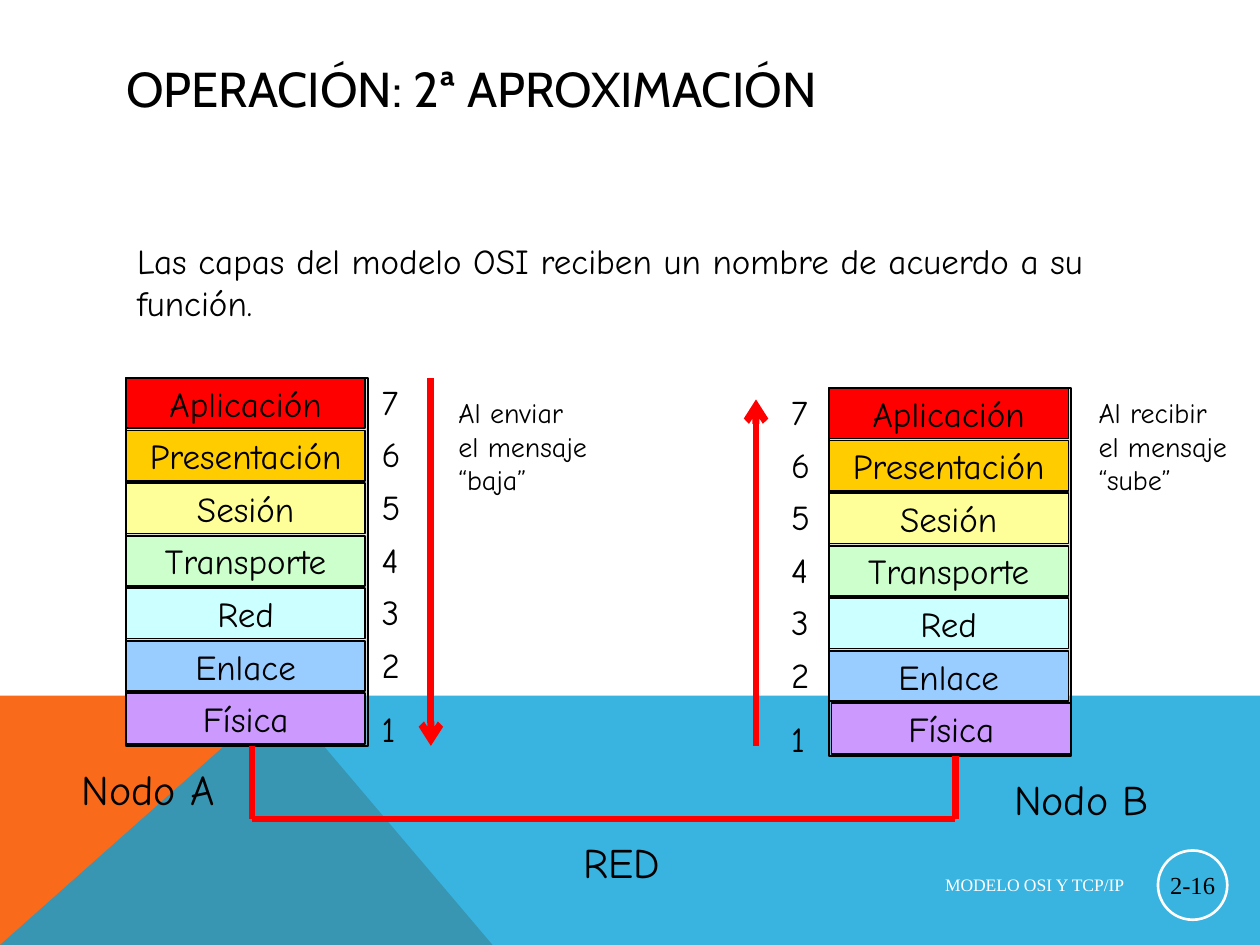
from dataclasses import dataclass

from lxml.etree import SubElement
from pptx import Presentation
from pptx.dml.color import RGBColor
from pptx.enum.shapes import MSO_CONNECTOR as Connector, MSO_SHAPE as Shape
from pptx.enum.text import MSO_ANCHOR as Anchor, MSO_AUTO_SIZE as AutoSize, PP_ALIGN as Align
from pptx.oxml.ns import qn
from pptx.util import Inches, Pt


@dataclass(frozen=True)
class Theme:
    ink: str = "000000"
    paper: str = "FFFFFF"
    orange: str = "F96A1B"
    blue: str = "08A1D9"
    grey: str = "C0C0C0"
    red: str = "FF0000"
    title_font: str = "Cabin"
    hand_font: str = "Comic Neue"
    footer_font: str = "Times New Roman"
    title: int = 28
    node: int = 24
    body: int = 20
    note: int = 16
    number: int = 14
    footer: int = 10
    cable: int = 4


THEME = Theme()
LAYERS = [
    ("Aplicación", "FF0000"),
    ("Presentación", "FFCC00"),
    ("Sesión", "FFFF99"),
    ("Transporte", "CCFFCC"),
    ("Red", "CCFFFF"),
    ("Enlace", "99CCFF"),
    ("Física", "CC99FF"),
]


def write(shape, text, size=THEME.body, font=THEME.hand_font, color=THEME.ink,
          align=Align.LEFT, anchor=Anchor.TOP, wrap=False, inset=(0.1, 0.05)):
    frame = shape.text_frame
    frame.auto_size = AutoSize.NONE
    frame.word_wrap = wrap
    frame.vertical_anchor = anchor
    frame.margin_left = frame.margin_right = Inches(inset[0])
    frame.margin_top = frame.margin_bottom = Inches(inset[1])
    for index, line in enumerate(text.split("\n")):
        para = frame.add_paragraph() if index else frame.paragraphs[0]
        para.alignment = align
        para.space_before = para.space_after = Pt(0)
        span = para.add_run()
        span.text = line
        span.font.size = Pt(size)
        span.font.name = font
        span.font.color.rgb = RGBColor.from_string(color)


def add_text(page, box, text, **style):
    label = page.shapes.add_textbox(*map(Inches, box))
    write(label, text, **style)


def paint(shape, fill=None, line=None, width=1, alpha=None):
    shape.shadow.inherit = False
    if fill:
        shape.fill.solid()
        shape.fill.fore_color.rgb = RGBColor.from_string(fill)
    else:
        shape.fill.background()
    if alpha:
        color = shape.fill._xPr.find(".//" + qn("a:srgbClr"))
        SubElement(color, qn("a:alpha")).set("val", str(alpha * 1000))
    if line:
        shape.line.color.rgb = RGBColor.from_string(line)
        shape.line.width = Pt(width)
    else:
        shape.line.fill.background()


def add_shape(page, kind, box, **look):
    shape = page.shapes.add_shape(kind, *map(Inches, box))
    paint(shape, **look)
    return shape


def add_line(page, start, end, arrow=False):
    line = page.shapes.add_connector(Connector.STRAIGHT, *map(Inches, start + end))
    line.line.color.rgb = RGBColor.from_string(THEME.red)
    line.line.width = Pt(THEME.cable)
    if arrow:
        SubElement(line.line._get_or_add_ln(), qn("a:tailEnd")).set("type", "arrow")
    SubElement(line._element.spPr, qn("a:effectLst"))


def add_backdrop(page, box):
    left, top, width, height = box
    right, bottom, peak = left + width, top + height, left + 2.23
    bands = [
        ([(left, bottom), (left, top), (peak, top), (left + 3.91, bottom)], THEME.orange, None),
        ([(left, bottom), (peak, top), (right, top), (right, bottom)], THEME.blue, 80),
    ]
    for points, color, alpha in bands:
        corners = [(Inches(x), Inches(y)) for x, y in points]
        builder = page.shapes.build_freeform(*corners[0])
        builder.add_line_segments(corners[1:])
        paint(builder.convert_to_shape(), fill=color, alpha=alpha)


def add_title(page, box, text):
    title = page.shapes.title
    title.left, title.top, title.width, title.height = map(Inches, box)
    write(title, text, size=THEME.title, font=THEME.title_font, anchor=Anchor.MIDDLE,
          wrap=True, inset=(0.1, 0))


def add_footer(page, box, text, number):
    left, top, width, height = box
    add_text(page, (left, top + 0.12, 5.17, 0.3), text, size=THEME.footer,
             font=THEME.footer_font, color=THEME.paper, align=Align.RIGHT,
             anchor=Anchor.MIDDLE, wrap=True)
    badge = add_shape(page, Shape.OVAL, (left + width - height, top, height, height),
                      line=THEME.paper, width=1.5)
    write(badge, number, size=THEME.number, font=THEME.footer_font, align=Align.CENTER,
          anchor=Anchor.MIDDLE, inset=(0.01, 0.01))


def add_stack(page, box, number_left, last_shift=0):
    left, top, width, height = box
    add_shape(page, Shape.RECTANGLE, box, fill=THEME.grey, alpha=50, line=THEME.ink)
    pitch = height / len(LAYERS)
    for index, (name, color) in enumerate(LAYERS):
        is_last = index == len(LAYERS) - 1
        row_top = top + index * pitch
        row_left = left + last_shift * is_last
        row = add_shape(page, Shape.RECTANGLE, (row_left, row_top, width - 0.02, 0.4),
                        fill=color, line=THEME.ink)
        write(row, name, align=Align.CENTER, anchor=Anchor.MIDDLE)
        add_text(page, (number_left, row_top - 0.03 + 0.09 * is_last, 0.34, 0.44),
                 str(len(LAYERS) - index))


def add_network(page, box):
    left, top, width, height = box
    right, bottom = left + width, top + height
    add_line(page, (left, top), (left, bottom))
    add_line(page, (right, top + 0.08), (right, bottom))
    add_line(page, (left, bottom), (right, bottom))
    add_text(page, (left + 2.53, bottom + 0.09, 0.81, 0.5), "RED", size=THEME.node)


def main():
    deck = Presentation()
    deck.slide_width, deck.slide_height = Inches(10), Inches(7.5)
    page = deck.slides.add_slide(deck.slide_layouts[5])

    add_backdrop(page, (0, 5.52, 10, 1.98))
    add_title(page, (0.9, 0.4, 8.23, 0.6), "OPERACIÓN: 2ª APROXIMACIÓN")
    add_footer(page, (3.85, 6.75, 5.89, 0.55), "MODELO OSI Y TCP/IP", "2-16")
    add_text(page, (0.99, 1.85, 7.83, 0.77),
             "Las capas del modelo OSI reciben un nombre de acuerdo a su\nfunción.")

    add_stack(page, (6.58, 3.08, 1.92, 2.92), 6.18, last_shift=0.02)
    add_stack(page, (1, 3, 1.92, 2.92), 2.93)
    add_network(page, (2, 5.92, 5.58, 0.58))

    add_line(page, (3.42, 3), (3.42, 5.92), arrow=True)
    add_line(page, (6, 5.92), (6, 3.17), arrow=True)
    for left, verb, motion in [(3.54, "enviar", "baja"), (8.62, "recibir", "sube")]:
        add_text(page, (left, 3.09, 1.22, 0.9), f"Al {verb}\nel mensaje\n“{motion}”",
                 size=THEME.note)
    for left, top, name in [(0.55, 6.01, "Nodo A"), (7.95, 6.09, "Nodo B")]:
        add_text(page, (left, top, 1.26, 0.5), name, size=THEME.node)

    deck.save("out.pptx")


if __name__ == "__main__":
    main()
